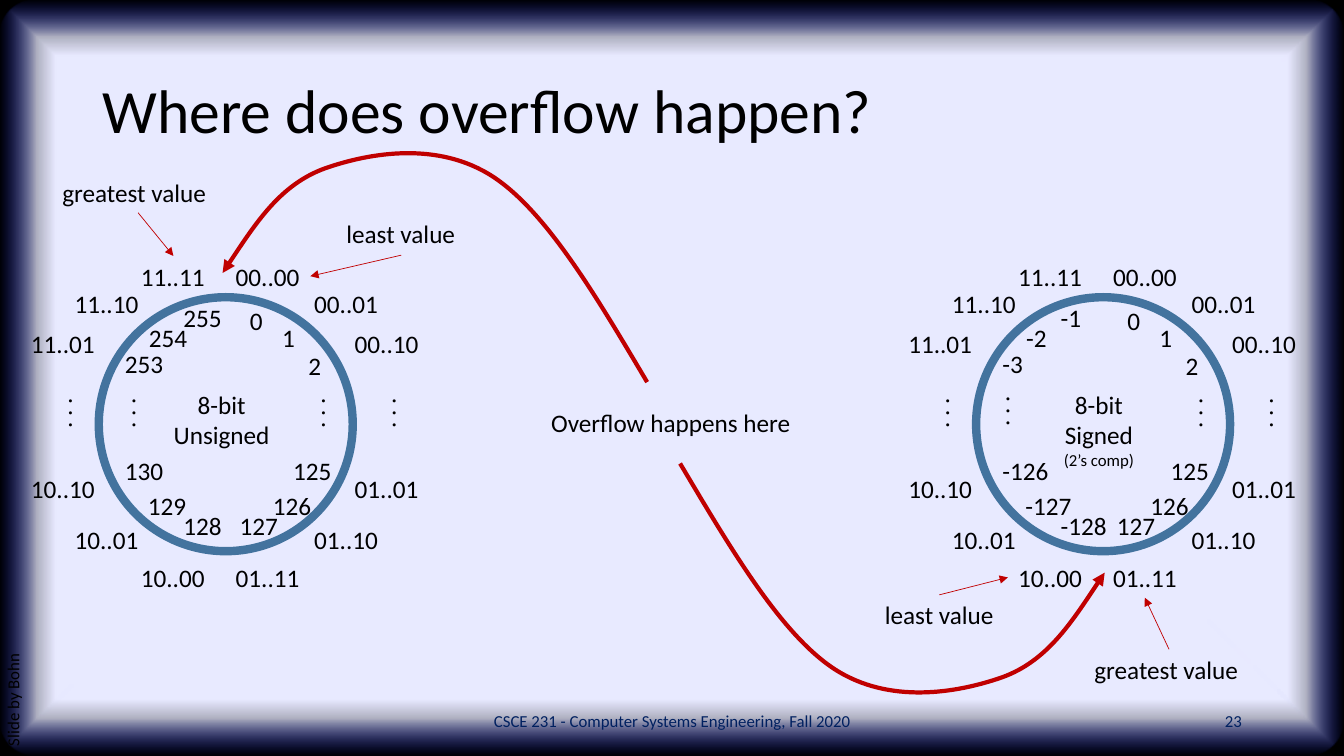
from lxml import etree
from pptx import Presentation
from pptx.dml.color import RGBColor
from pptx.enum.shapes import MSO_CONNECTOR, MSO_SHAPE
from pptx.enum.text import MSO_ANCHOR, MSO_AUTO_SIZE, PP_ALIGN
from pptx.oxml import parse_xml
from pptx.oxml.ns import nsdecls, qn
from pptx.util import Cm, Pt

OVAL, RECT, ROUND = MSO_SHAPE.OVAL, MSO_SHAPE.RECTANGLE, MSO_SHAPE.ROUNDED_RECTANGLE
STRAIGHT = MSO_CONNECTOR.STRAIGHT
TOP, MIDDLE = MSO_ANCHOR.TOP, MSO_ANCHOR.MIDDLE
FIT, FIXED = MSO_AUTO_SIZE.SHAPE_TO_FIT_TEXT, MSO_AUTO_SIZE.NONE
LEFT, CENTER, RIGHT = PP_ALIGN.LEFT, PP_ALIGN.CENTER, PP_ALIGN.RIGHT

WIDTH, HEIGHT = 33.87, 19.05
LINE_H = 1.02
FONT = "Calibri"
BLACK, NAVY, RED, STEEL = "000000", "002060", "C00000", "43739E"

# Dial labels run clockwise from the top, in cm on the left dial
CODES = ["00..00", "00..01", "00..10", "01..01", "01..10", "01..11",
         "10..00", "10..01", "10..10", "11..01", "11..10", "11..11"]
CODE_ROWS = [6.45, 7.14, 8.15, 11.81, 13.08, 14.05]
CODE_X = [5.69, 7.67, 8.69, 8.69, 7.67, 5.69, 3.3, 1.63, 0.53, 0.53, 1.63, 3.3]
CODE_SPOTS = list(zip(CODE_X, CODE_ROWS + CODE_ROWS[::-1]))
VALUE_SPOTS = [(6.05, 7.57), (6.86, 8), (7.52, 8.71), (7.14, 11.35), (6.63, 12.22),
               (5.79, 12.73), (4.37, 12.73), (3.48, 12.22), (2.9, 11.35),
               (2.9, 8.66), (3.5, 8), (4.37, 7.49)]
UNSIGNED = [0, 1, 2, 125, 126, 127, 128, 129, 130, 253, 254, 255]
SIGNED = [0, 1, 2, 125, 126, 127, -128, -127, -126, -3, -2, -1]
DIAL_GAP = 22.11

# Bezier points of the upper arrow; the lower one is its half turn
CURVE = [(5.61, 6.88), (6.35, 5.77), (7.06, 4.65), (8.2, 4.24), (9.35, 3.84),
         (11.05, 3.56), (12.42, 4.45), (13.77, 5.33), (15.04, 7.49), (16.31, 9.63)]
TURN_X, TURN_Y = 33.45, 21.31

GRADIENT = f"""<a:gradFill {nsdecls('a')} rotWithShape="1"><a:gsLst>
<a:gs pos="85000"><a:srgbClr val="E8EAFF"/></a:gs>
<a:gs pos="90000"><a:srgbClr val="E8EAFF"><a:alpha val="75000"/></a:srgbClr></a:gs>
<a:gs pos="100000"><a:srgbClr val="162AFF"><a:alpha val="0"/></a:srgbClr></a:gs>
</a:gsLst><a:path path="shape">
<a:fillToRect l="50000" t="50000" r="50000" b="50000"/></a:path></a:gradFill>"""


def rgb(color):
    return RGBColor.from_string(color)


def set_all(obj, values):
    for name, value in values.items():
        setattr(obj, name, value)


def write(tf, lines, size=18, color=BLACK, para=None, **frame):
    """Fill a text frame; a line is a string or a (string, size) pair."""
    set_all(tf, frame)
    for i, line in enumerate(lines):
        text, pt = line if isinstance(line, tuple) else (line, size)
        p = tf.add_paragraph() if i else tf.paragraphs[0]
        set_all(p, para or {})
        r = p.add_run()
        r.text = text
        set_all(r.font, {"name": FONT, "size": Pt(pt)})
        r.font.color.rgb = rgb(color)


def add_text(shapes, box, lines, rotation=0, **fmt):
    sp = shapes.add_textbox(*map(Cm, box))
    sp.rotation = rotation
    write(sp.text_frame, lines, **{"word_wrap": False, "auto_size": FIT, **fmt})


def fill_placeholder(sp, box, text, **fmt):
    set_all(sp, dict(zip(("left", "top", "width", "height"), map(Cm, box))))
    write(sp.text_frame, [text], auto_size=FIXED, **fmt)


def add_backdrop(slide):
    for i, kind in enumerate((RECT, ROUND)):
        sp = slide.shapes.add_shape(kind, 0, 0, Cm(WIDTH), Cm(HEIGHT))
        sp.shadow.inherit = False
        sp.line.fill.background()
        sp.fill.solid()
        sp.fill.fore_color.rgb = rgb(BLACK)
        slide.shapes._spTree.insert(2 + i, sp._element)
    sp.adjustments[0] = 0.05
    pr = sp._element.spPr
    pr.replace(pr.find(qn("a:solidFill")), parse_xml(GRADIENT))


def style_arrow(sp, width, end):
    sp.line.color.rgb = rgb(RED)
    sp.line.width = Pt(width)
    etree.SubElement(sp.line._get_or_add_ln(), qn(f"a:{end}")).set("type", "triangle")


def add_arrow(shapes, start, tip):
    line = shapes.add_connector(STRAIGHT, *map(Cm, start + tip))
    style_arrow(line, 0.5, "tailEnd")
    etree.SubElement(line._element.spPr, qn("a:effectLst"))


def add_curve(shapes, points):
    """Draw a freeform and join each three points into a Bezier segment."""
    start, *rest = [(Cm(x), Cm(y)) for x, y in points]
    builder = shapes.build_freeform(*start)
    builder.add_line_segments(rest, close=False)
    sp = builder.convert_to_shape()
    sp.shadow.inherit = False
    sp.fill.background()
    style_arrow(sp, 3, "headEnd")
    segments = list(sp._element.iter(qn("a:lnTo")))
    outline = segments[0].getparent()
    for i, segment in enumerate(segments):
        if i % 3 == 0:
            bezier = etree.SubElement(outline, qn("a:cubicBezTo"))
        bezier.append(segment[0])
        outline.remove(segment)


def add_dial(slide, dx, caption, caption_h, values, inner_dots):
    shapes = slide.shapes.add_group_shape().shapes
    add_text(shapes, (3.35 + dx, 9.68, 4.47, caption_h), caption,
             para={"alignment": CENTER}, word_wrap=True)
    ring = shapes.add_shape(OVAL, *map(Cm, (2.49 + dx, 7.49, 6.4, 6.4)))
    ring.shadow.inherit = False
    ring.fill.background()
    ring.line.color.rgb = rgb(STEEL)
    ring.line.width = Pt(6)
    for (x, y), code in zip(CODE_SPOTS, CODES):
        add_text(shapes, (x + dx, y, 2.13, LINE_H), [code])
    for (x, y), value in zip(VALUE_SPOTS, values):
        w = 0.51 + 0.33 * len(str(abs(value))) + 0.19 * (value < 0)
        add_text(shapes, (x + dx, y, w, LINE_H), [str(value)])
    for x, y in [(0.91, 9.88), (7.29, 9.88), (9.07, 9.88), inner_dots]:
        add_text(shapes, (x + dx, y, 1.3, LINE_H), [". . ."], rotation=270)


def add_footer(shapes):
    for text, x, w, align in [
            ("CSCE 231 - Computer Systems Engineering, Fall 2020", 11.23, 11.43, CENTER),
            ("23", 23.93, 7.62, RIGHT)]:
        add_text(shapes, (x, 17.65, w, LINE_H), [text], size=12, color=NAVY,
                 para={"alignment": align}, word_wrap=True, auto_size=FIXED,
                 vertical_anchor=MIDDLE)


def main():
    prs = Presentation()
    set_all(prs, {"slide_width": Cm(WIDTH), "slide_height": Cm(HEIGHT)})
    slide = prs.slides.add_slide(prs.slide_layouts[1])
    shapes = slide.shapes
    add_backdrop(slide)

    # Title and author line
    fill_placeholder(shapes.title, (2.33, 1.01, 29.21, 3.68), "Where does overflow happen?",
                     size=44, para={"alignment": LEFT, "line_spacing": 0.9},
                     vertical_anchor=MIDDLE)
    author = slide.placeholders[1]
    author.rotation = 270
    fill_placeholder(author, (-6.2, 11.84, 13.41, LINE_H), "Slide by Bohn", size=12,
                     para={"line_spacing": 0.9, "space_before": Pt(10)},
                     vertical_anchor=TOP)
    pPr = author.text_frame.paragraphs[0]._p.get_or_add_pPr()
    pPr.set("marL", "0")
    pPr.set("indent", "0")
    etree.SubElement(pPr, qn("a:buNone"))
    add_footer(shapes)

    # Number dials
    add_dial(slide, 0, ["8-bit", "Unsigned"], 1.8, UNSIGNED, (2.51, 9.88))
    add_dial(slide, DIAL_GAP, ["8-bit", "Signed", ("(2’s comp)", 12)], 2.39,
             SIGNED, (2.43, 9.83))

    # Overflow arrows
    add_text(shapes, (13.64, 10.13, 6.63, LINE_H), ["Overflow happens here"])
    add_curve(shapes, CURVE)
    add_curve(shapes, [(TURN_X - x, TURN_Y - y) for x, y in CURVE])

    # Greatest and least values
    for text, w, x, y, start, tip in [
            ("greatest value", 4.27, 1.32, 4.34, (3.48, 5.36), (4.37, 6.45)),
            ("least value", 3.28, 8.48, 5.38, (10.11, 6.43), (7.82, 6.96)),
            ("greatest value", 4.27, 27.33, 16.36, (29.46, 16.36), (28.85, 15.06)),
            ("least value", 3.28, 22.05, 14.99, (23.67, 14.99), (25.4, 14.55))]:
        add_text(shapes, (x, y, w, LINE_H), [text])
        add_arrow(shapes, start, tip)

    prs.save("out.pptx")


if __name__ == "__main__":
    main()
